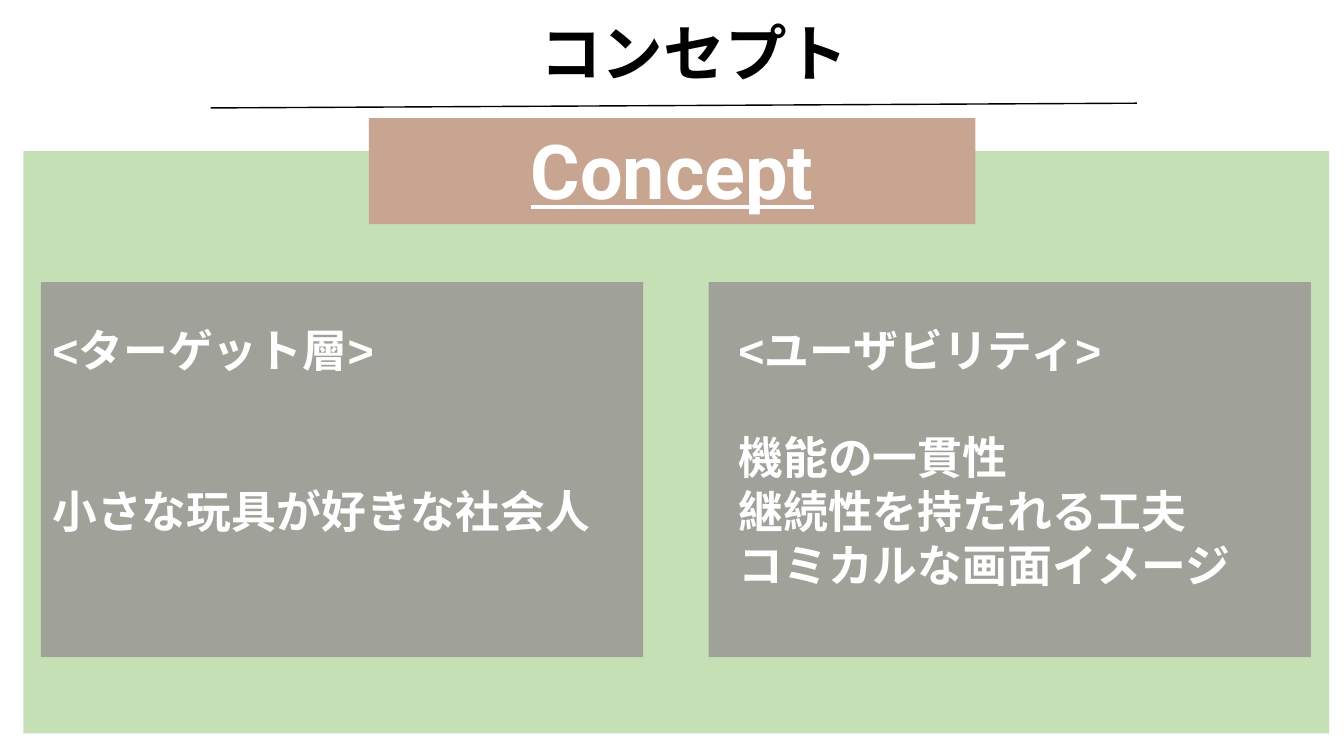
import pptx
import pptx.dml.color
import pptx.enum.shapes
import pptx.enum.text
import pptx.oxml.ns
import pptx.util
from lxml import etree
from pptx.util import Cm

BLACK = pptx.dml.color.RGBColor(0x00, 0x00, 0x00)
WHITE = pptx.dml.color.RGBColor(0xFF, 0xFF, 0xFF)
GREEN = pptx.dml.color.RGBColor(0xC5, 0xE0, 0xB4)
GREY = pptx.dml.color.RGBColor(0xA0, 0xA2, 0x99)
TAN = pptx.dml.color.RGBColor(0xC8, 0xA5, 0x91)

JAPANESE_FONT = "Noto Sans CJK JP"
LINE_HEIGHT = 1.2
CENTER = pptx.enum.text.PP_ALIGN.CENTER
LEFT = pptx.enum.text.PP_ALIGN.LEFT


def add_rectangle(slide, left, top, width, height, color):
    shape = slide.shapes.add_shape(
        pptx.enum.shapes.MSO_SHAPE.RECTANGLE, Cm(left), Cm(top), Cm(width), Cm(height))
    shape.shadow.inherit = False
    shape.fill.solid()
    shape.fill.fore_color.rgb = color
    shape.line.fill.background()
    return shape


def add_rule(slide, start_x, start_y, end_x, end_y):
    connector = slide.shapes.add_connector(
        pptx.enum.shapes.MSO_CONNECTOR.STRAIGHT,
        Cm(start_x), Cm(start_y), Cm(end_x), Cm(end_y))
    connector.line.color.rgb = BLACK
    connector.line.width = pptx.util.Pt(1)
    etree.SubElement(connector._element.spPr, pptx.oxml.ns.qn("a:effectLst"))


def style_paragraph(paragraph, font_name, size, color, alignment):
    paragraph.alignment = alignment
    font = paragraph.font
    font.name = font_name
    font.size = pptx.util.Pt(size)
    font.bold = True
    font.color.rgb = color


def add_japanese_text(slide, left, top, width, height, lines, font_name, size, color,
                      alignment=LEFT, heading_gap=0):
    """Add one paragraph per line; heading_gap is the number of lines left open after the first."""
    text_box = slide.shapes.add_textbox(Cm(left), Cm(top), Cm(width), Cm(height))
    frame = text_box.text_frame
    frame.word_wrap = True
    frame.text = "\n".join(lines)
    for paragraph in frame.paragraphs:
        style_paragraph(paragraph, font_name, size, color, alignment)
        paragraph.line_spacing = pptx.util.Pt(size * LINE_HEIGHT)
        default_run = paragraph._p.pPr.find(pptx.oxml.ns.qn("a:defRPr"))
        etree.SubElement(default_run, pptx.oxml.ns.qn("a:ea"), typeface=JAPANESE_FONT)
    if heading_gap:
        frame.paragraphs[1].space_before = pptx.util.Pt(heading_gap * size * LINE_HEIGHT)


def add_banner(slide, text):
    banner = add_rectangle(slide, 9.3, 2.98, 15.28, 2.67, TAN)
    frame = banner.text_frame
    frame.margin_top, frame.margin_bottom = Cm(0.15), Cm(0.25)
    frame.vertical_anchor = pptx.enum.text.MSO_ANCHOR.MIDDLE
    frame.text = text
    paragraph = frame.paragraphs[0]
    style_paragraph(paragraph, "Roboto", 54, WHITE, CENTER)
    paragraph.font.underline = True


def main():
    presentation = pptx.Presentation()
    presentation.slide_width, presentation.slide_height = Cm(33.87), Cm(19.05)
    slide = presentation.slides.add_slide(presentation.slide_layouts[6])

    add_rectangle(slide, 0.59, 3.81, 32.91, 14.67, GREEN)
    for panel_left in (1.03, 17.86):
        add_rectangle(slide, panel_left, 7.11, 15.18, 9.45, GREY)
    add_rule(slide, 5.31, 2.72, 28.65, 2.6)

    add_japanese_text(slide, 8.61, 0.25, 17.78, 2.13, ["コンセプト"],
                      JAPANESE_FONT, 44, BLACK, alignment=CENTER)
    add_japanese_text(slide, 1.07, 8, 14.48, 5.74,
                      ["<ターゲット層>", "小さな玩具が好きな社会人"],
                      "Arial", 32, WHITE, heading_gap=2)
    add_japanese_text(slide, 18.36, 8, 13.54, 7.09,
                      ["<ユーザビリティ>", "機能の一貫性", "継続性を持たれる工夫",
                       "コミカルな画面イメージ"],
                      "Arial", 32, WHITE, heading_gap=1)
    add_banner(slide, "Concept")

    presentation.save("out.pptx")


if __name__ == "__main__":
    main()
